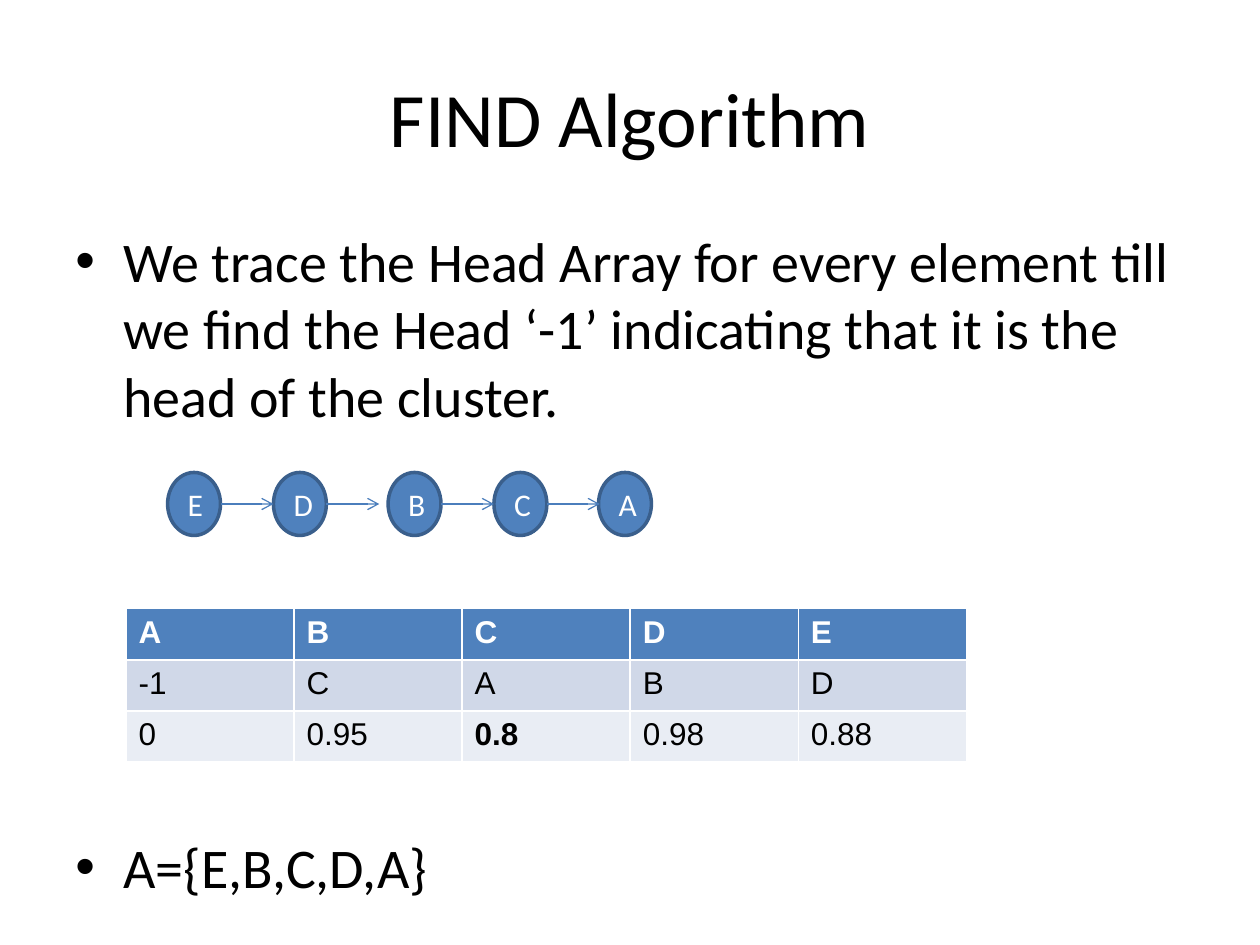
"""Build the FIND Algorithm slide: bullets, a chain of nodes and the head array table."""
from dataclasses import dataclass

import pptx
import pptx.dml.color
import pptx.enum.shapes
import pptx.enum.text
import pptx.oxml.ns
import pptx.util
from lxml import etree
from pptx.dml.color import RGBColor
from pptx.util import Inches, Pt

BLACK = RGBColor(0x00, 0x00, 0x00)
WHITE = RGBColor(0xFF, 0xFF, 0xFF)
BLUE = RGBColor(0x4F, 0x81, 0xBD)
OUTLINE = RGBColor(0x3A, 0x5F, 0x8C)
ARROW = RGBColor(0x4B, 0x7E, 0xBC)
ROW_FILLS = (BLUE, RGBColor(0xD0, 0xD8, 0xE8), RGBColor(0xE9, 0xED, 0xF4))

NODE_W, NODE_H, NODE_TOP = 0.42, 0.5, 3.75
ARROW_LENGTH = 0.42


@dataclass
class Bullet:
    text: str
    space_before: int


@dataclass
class Node:
    label: str
    left: float


BULLETS = [
    Bullet("We trace the Head Array for every element till we find the Head ‘-1’ "
           "indicating that it is the head of the cluster.", 6),
    Bullet("A={E,B,C,D,A}", 231),
]
CHAIN = [Node("E", 1.33), Node("D", 2.17), Node("B", 3.08), Node("C", 3.92), Node("A", 4.75)]
HEAD_ARRAY = [
    ["A", "B", "C", "D", "E"],
    ["-1", "C", "A", "B", "D"],
    ["0", "0.95", "0.8", "0.98", "0.88"],
]
BOLD_VALUE = "0.8"


def set_font(p, name: str, size: int, color: RGBColor, bold: bool = False) -> None:
    """Format the font of a paragraph."""
    p.font.name, p.font.size, p.font.bold = name, Pt(size), bold
    p.font.color.rgb = color


def add_child(parent, tag: str, **attrs: str):
    """Append a DrawingML element."""
    return etree.SubElement(parent, pptx.oxml.ns.qn(tag), attrs)


def add_title(s, text: str) -> None:
    """Fill and place the title placeholder."""
    sp = s.shapes.title
    sp.left, sp.top, sp.width, sp.height = Inches(0.5), Inches(0.3), Inches(9), Inches(1.25)
    tf = sp.text_frame
    tf.text = text
    tf.vertical_anchor = pptx.enum.text.MSO_ANCHOR.MIDDLE
    p = tf.paragraphs[0]
    p.alignment = pptx.enum.text.PP_ALIGN.CENTER
    set_font(p, "Calibri", 44, BLACK)


def add_bullets(s, bullets: list[Bullet]) -> None:
    """Add the bulleted body text."""
    tf = s.shapes.add_textbox(Inches(0.5), Inches(1.75), Inches(9), Inches(4.95)).text_frame
    tf.word_wrap = True
    for i, bullet in enumerate(bullets):
        p = tf.add_paragraph() if i else tf.paragraphs[0]
        p.text = bullet.text
        p.space_before = Pt(bullet.space_before)
        set_font(p, "Calibri", 32, BLACK)
        pPr = p._p.get_or_add_pPr()
        pPr.set("marL", str(Inches(0.38)))
        pPr.set("indent", str(-Inches(0.38)))
        font = etree.Element(pptx.oxml.ns.qn("a:buFont"), typeface="Arial")
        char = etree.Element(pptx.oxml.ns.qn("a:buChar"), char="•")
        run_defaults = pPr.find(pptx.oxml.ns.qn("a:defRPr"))
        run_defaults.addprevious(font)
        run_defaults.addprevious(char)


def add_node(s, node: Node) -> None:
    """Add one element of the chain."""
    sp = s.shapes.add_shape(pptx.enum.shapes.MSO_SHAPE.OVAL, Inches(node.left),
                            Inches(NODE_TOP), Inches(NODE_W), Inches(NODE_H))
    sp.shadow.inherit = False
    sp.fill.solid()
    sp.fill.fore_color.rgb = BLUE
    sp.line.color.rgb = OUTLINE
    sp.line.width = Pt(2)
    tf = sp.text_frame
    tf.text = node.label
    tf.vertical_anchor = pptx.enum.text.MSO_ANCHOR.MIDDLE
    p = tf.paragraphs[0]
    p.alignment = pptx.enum.text.PP_ALIGN.CENTER
    set_font(p, "Calibri", 18, WHITE)


def add_arrow(s, node: Node) -> None:
    """Add the arrow that leaves a node on its right."""
    x, y = node.left + NODE_W, Inches(NODE_TOP + NODE_H / 2)
    sp = s.shapes.add_connector(pptx.enum.shapes.MSO_CONNECTOR.STRAIGHT,
                                Inches(x), y, Inches(x + ARROW_LENGTH), y)
    sp.line.color.rgb = ARROW
    sp.line.width = Pt(0.75)
    add_child(sp.line._get_or_add_ln(), "a:tailEnd", type="arrow")
    add_child(sp._element.spPr, "a:effectLst")


def add_head_array(s, rows: list[list[str]]) -> None:
    """Add the head array table."""
    table = s.shapes.add_table(len(rows), len(rows[0]), Inches(1), Inches(4.83),
                               Inches(6.67), Inches(1.22)).table
    for i, (row, fill) in enumerate(zip(rows, ROW_FILLS)):
        for j, text in enumerate(row):
            cell = table.cell(i, j)
            cell.text = text
            cell.fill.solid()
            cell.fill.fore_color.rgb = fill
            set_font(cell.text_frame.paragraphs[0], "Arial", 18,
                     BLACK if i else WHITE, i == 0 or text == BOLD_VALUE)


def main() -> None:
    """Build and save the slide."""
    prs = pptx.Presentation()
    prs.slide_width, prs.slide_height = Inches(10), Inches(7.5)
    s = prs.slides.add_slide(prs.slide_layouts.get_by_name("Title Only"))
    add_title(s, "FIND Algorithm")
    add_bullets(s, BULLETS)
    for node in CHAIN:
        add_node(s, node)
    for node in CHAIN[:-1]:
        add_arrow(s, node)
    add_head_array(s, HEAD_ARRAY)
    prs.save("out.pptx")


if __name__ == "__main__":
    main()
